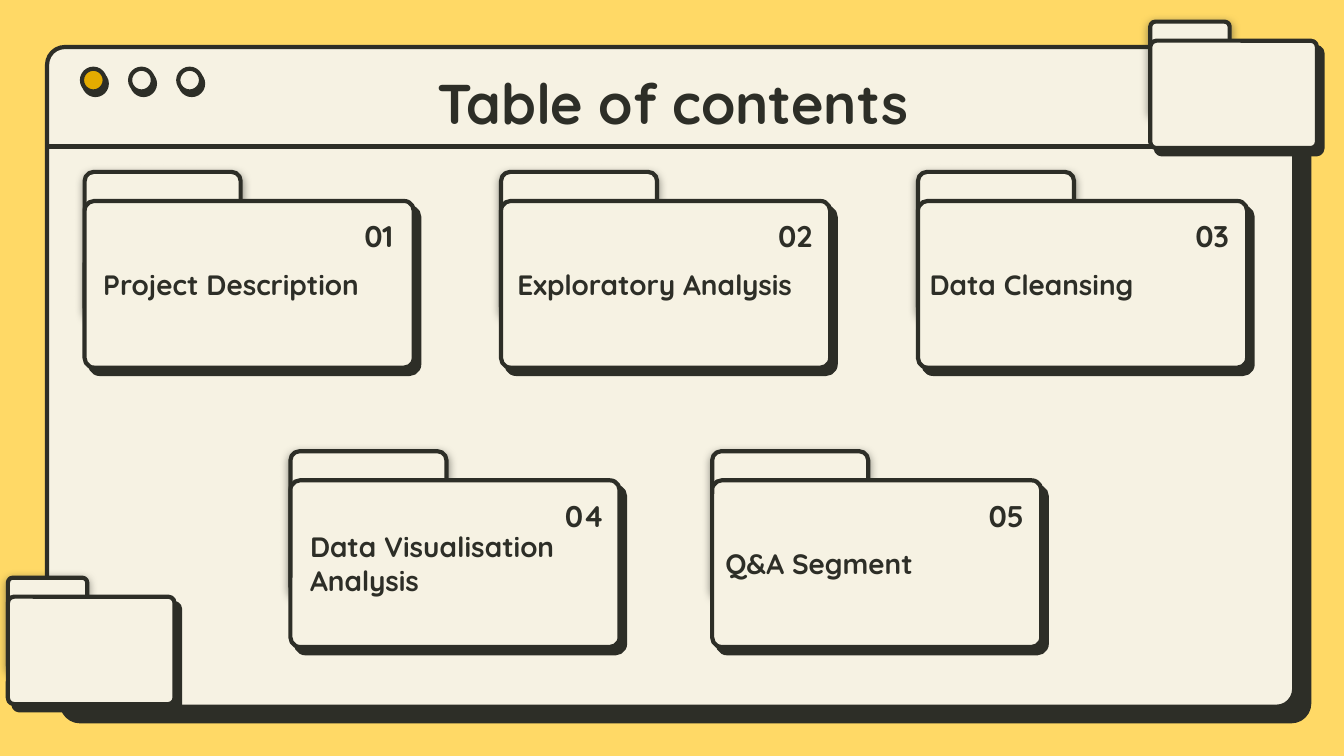
from dataclasses import dataclass

from lxml.etree import SubElement
from pptx import Presentation
from pptx.dml.color import RGBColor
from pptx.enum.shapes import MSO_CONNECTOR, MSO_SHAPE
from pptx.enum.text import MSO_ANCHOR, PP_ALIGN
from pptx.oxml.ns import qn
from pptx.shapes.autoshape import Shape
from pptx.slide import Slide
from pptx.util import Cm, Pt


@dataclass(frozen=True)
class Theme:
    background: str = "FFD966"
    paper: str = "F6F2E3"
    ink: str = "2D2E27"
    accent: str = "E4AB00"
    font: str = "Quicksand"
    title_size: float = 30
    number_size: float = 16
    label_size: float = 15
    line_width: float = 2.25


@dataclass(frozen=True)
class Shadow:
    """Opacity in percent, blur and distance in points, angle in degrees."""
    opacity: int
    blur: float
    distance: float
    angle: int


@dataclass(frozen=True)
class Box:
    """Position and size in centimetres."""
    left: float
    top: float
    width: float
    height: float


@dataclass(frozen=True)
class FolderSize:
    tab_width: float
    tab_height: float
    front_drop: float
    front_width: float
    front_height: float


@dataclass(frozen=True)
class Entry:
    label: str
    left: float
    top: float
    label_shift: float


THEME = Theme()
WINDOW_SHADOW = Shadow(100, 0, 11.2, 44)
BUTTON_SHADOW = Shadow(100, 0, 2.2, 60)
TAB_SHADOW = Shadow(50, 4.5, 1.5, 90)
FRONT_SHADOW = Shadow(100, 0, 4.5, 49)

LARGE = FolderSize(2.95, 2.72, 0.55, 6.22, 3.15)
SMALL = FolderSize(1.5, 1.75, 0.36, 3.15, 2.03)

UPPER_ROW, LOWER_ROW = 3.25, 8.53
ENTRIES = [
    Entry("Project Description", 1.6, UPPER_ROW, 0.1),
    Entry("Exploratory Analysis", 9.47, UPPER_ROW, 0.06),
    Entry("Data Cleansing", 17.35, UPPER_ROW, -0.03),
    Entry("Data Visualisation Analysis", 5.49, LOWER_ROW, 0.12),
    Entry("Q&A Segment", 13.46, LOWER_ROW, 0),
]


def lengths(box: Box) -> list[Cm]:
    return [Cm(value) for value in (box.left, box.top, box.width, box.height)]


def set_format(target: object, values: dict[str, object]) -> None:
    for name, value in values.items():
        setattr(target, name, value)


def add_shadow(shape: Shape, shadow: Shadow) -> None:
    shape.shadow.inherit = False
    effects = shape._element.spPr.find(qn("a:effectLst"))
    outer = SubElement(effects, qn("a:outerShdw"), {
        "blurRad": str(Pt(shadow.blur)),
        "dist": str(Pt(shadow.distance)),
        "dir": str(shadow.angle * 60000),
        "algn": "bl",
        "rotWithShape": "0",
    })
    color = SubElement(outer, qn("a:srgbClr"), val=THEME.ink)
    SubElement(color, qn("a:alpha"), val=str(shadow.opacity * 1000))


def add_outlined(slide: Slide, kind: MSO_SHAPE, box: Box, shadow: Shadow,
                 fill: str = THEME.paper, corner: float | None = None) -> None:
    shape = slide.shapes.add_shape(kind, *lengths(box))
    if corner is not None:
        shape.adjustments[0] = corner
    shape.fill.solid()
    shape.fill.fore_color.rgb = RGBColor.from_string(fill)
    shape.line.color.rgb = RGBColor.from_string(THEME.ink)
    shape.line.width = Pt(THEME.line_width)
    add_shadow(shape, shadow)


def add_text(slide: Slide, text: str, box: Box, size: float,
             alignment: PP_ALIGN = PP_ALIGN.LEFT,
             anchor: MSO_ANCHOR = MSO_ANCHOR.MIDDLE) -> None:
    frame = slide.shapes.add_textbox(*lengths(box)).text_frame
    margins = {f"margin_{side}": Cm(0.25) for side in ("left", "top", "right", "bottom")}
    set_format(frame, {"word_wrap": True, "vertical_anchor": anchor, **margins})
    paragraph = frame.paragraphs[0]
    paragraph.alignment = alignment
    run = paragraph.add_run()
    run.text = text
    set_format(run.font, {"name": THEME.font, "size": Pt(size), "bold": True})
    run.font.color.rgb = RGBColor.from_string(THEME.ink)


def add_folder(slide: Slide, left: float, top: float, size: FolderSize) -> None:
    tab = Box(left, top, size.tab_width, size.tab_height)
    front = Box(left, top + size.front_drop, size.front_width, size.front_height)
    add_outlined(slide, MSO_SHAPE.ROUNDED_RECTANGLE, tab, TAB_SHADOW, corner=0.063)
    add_outlined(slide, MSO_SHAPE.ROUNDED_RECTANGLE, front, FRONT_SHADOW, corner=0.058)


def add_window(slide: Slide) -> None:
    add_outlined(slide, MSO_SHAPE.ROUNDED_RECTANGLE, Box(0.89, 0.89, 23.57, 12.47),
                 WINDOW_SHADOW, corner=0.027)
    divider = slide.shapes.add_connector(
        MSO_CONNECTOR.STRAIGHT, Cm(24.49), Cm(2.77), Cm(0.91), Cm(2.77))
    divider.line.color.rgb = RGBColor.from_string(THEME.ink)
    divider.line.width = Pt(THEME.line_width)
    SubElement(divider._element.spPr, qn("a:effectLst"))
    for index, fill in enumerate((THEME.accent, THEME.paper, THEME.paper)):
        add_outlined(slide, MSO_SHAPE.OVAL, Box(1.55 + index * 0.91, 1.3, 0.43, 0.43),
                     BUTTON_SHADOW, fill)


def add_entry(slide: Slide, number: int, entry: Entry) -> None:
    add_folder(slide, entry.left, entry.top, LARGE)
    add_text(slide, entry.label,
             Box(entry.left + entry.label_shift, entry.top + 1.47, 6.12, 1.3),
             THEME.label_size)
    add_text(slide, f"{number:02}", Box(entry.left + 4.67, entry.top + 0.78, 1.78, 0.86),
             THEME.number_size, PP_ALIGN.CENTER)


def main() -> None:
    presentation = Presentation()
    set_format(presentation, {"slide_width": Cm(25.4), "slide_height": Cm(14.29)})
    slide = presentation.slides.add_slide(presentation.slide_layouts[6])
    slide.background.fill.solid()
    slide.background.fill.fore_color.rgb = RGBColor.from_string(THEME.background)

    # Window with title bar
    add_window(slide)

    # Corner folders
    add_folder(slide, 21.74, 0.41, SMALL)
    add_folder(slide, 0.15, 10.92, SMALL)

    # Title
    add_text(slide, "Table of contents", Box(2.01, 1.47, 21.41, 1.35),
             THEME.title_size, PP_ALIGN.CENTER, MSO_ANCHOR.BOTTOM)

    # Numbered folders
    for number, entry in enumerate(ENTRIES, start=1):
        add_entry(slide, number, entry)

    presentation.save("out.pptx")


if __name__ == "__main__":
    main()
